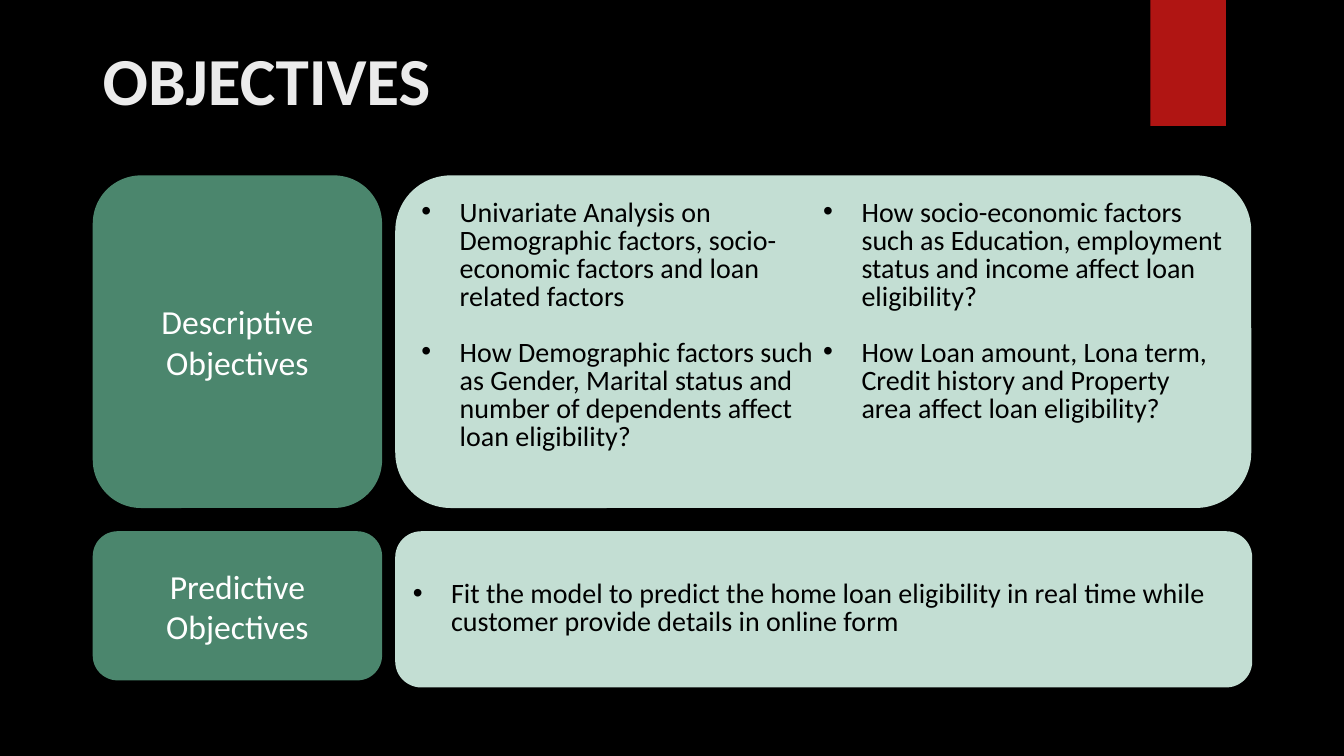
import dataclasses

import pptx
import pptx.dml.color
import pptx.enum.shapes
import pptx.enum.text
import pptx.util
from lxml import etree
from pptx.oxml.ns import qn

Inches = pptx.util.Inches
Pt = pptx.util.Pt
RGBColor = pptx.dml.color.RGBColor
MSO_SHAPE = pptx.enum.shapes.MSO_SHAPE
MSO_ANCHOR = pptx.enum.text.MSO_ANCHOR
PP_ALIGN = pptx.enum.text.PP_ALIGN


@dataclasses.dataclass(frozen=True)
class Theme:
    font: str = "Calibri"
    background: str = "000000"
    accent: str = "B01513"
    title: str = "EBEBEB"
    label_fill: str = "4B866D"
    label_text: str = "FFFFFF"
    panel_fill: str = "C3DED3"
    panel_text: str = "000000"
    title_size: int = 48
    label_size: int = 24
    body_size: int = 20


THEME = Theme()
LABEL_LEFT, LABEL_WIDTH = 0.92, 2.87
PANEL_LEFT = 3.92

DESCRIPTIVE = [
    "Univariate Analysis on Demographic factors, socio-economic factors and loan related factors",
    "How Demographic factors such as Gender, Marital status and number of dependents affect loan eligibility?",
    "How socio-economic factors such as Education, employment status and income affect loan eligibility?",
    "How Loan amount, Lona term, Credit history and Property area affect loan eligibility?",
]
PREDICTIVE = [
    "Fit the model to predict the home loan eligibility in real time while customer provide details in online form",
]


def add_block(s, shape_type, left, top, width, height, color):
    sp = s.shapes.add_shape(
        shape_type, Inches(left), Inches(top), Inches(width), Inches(height))
    sp.shadow.inherit = False
    sp.fill.solid()
    sp.fill.fore_color.rgb = RGBColor.from_string(color)
    sp.line.fill.background()
    return sp


def add_run(p, text, size, color, bold=False):
    r = p.add_run()
    r.text = text
    r.font.name = THEME.font
    r.font.size = Pt(size)
    r.font.bold = bold
    r.font.color.rgb = RGBColor.from_string(color)


def set_bullet(p):
    pPr = p._p.get_or_add_pPr()
    pPr.set("marL", str(Inches(0.38)))
    pPr.set("indent", str(-Inches(0.38)))
    etree.SubElement(pPr, qn("a:buFont")).set("typeface", "Arial")
    etree.SubElement(pPr, qn("a:buChar")).set("char", "•")


def add_title(s, text):
    sp = s.shapes.add_textbox(Inches(0.92), Inches(0.33), Inches(11.5), Inches(1.16))
    tf = sp.text_frame
    tf.word_wrap = True
    add_run(tf.paragraphs[0], text, THEME.title_size, THEME.title, bold=True)


def add_label(s, top, height, text):
    sp = add_block(s, MSO_SHAPE.ROUNDED_RECTANGLE, LABEL_LEFT, top, LABEL_WIDTH,
                   height, THEME.label_fill)
    tf = sp.text_frame
    tf.word_wrap = True
    tf.vertical_anchor = MSO_ANCHOR.MIDDLE
    p = tf.paragraphs[0]
    p.alignment = PP_ALIGN.CENTER
    add_run(p, text, THEME.label_size, THEME.label_text)


def add_panel(s, top, width, height, items, columns=1):
    sp = add_block(s, MSO_SHAPE.ROUNDED_RECTANGLE, PANEL_LEFT, top, width, height,
                   THEME.panel_fill)
    tf = sp.text_frame
    tf.word_wrap = True
    tf.vertical_anchor = MSO_ANCHOR.MIDDLE
    if columns > 1:
        tf.vertical_anchor = MSO_ANCHOR.TOP
        tf.margin_top = Inches(0.08)
        tf._txBody.bodyPr.set("numCol", str(columns))
    for i, item in enumerate(items):
        p = tf.add_paragraph() if i else tf.paragraphs[0]
        p.alignment = PP_ALIGN.LEFT
        p.line_spacing = Pt(THEME.body_size)
        if i < len(items) - 1:
            p.space_after = Pt(THEME.body_size)
        set_bullet(p)
        add_run(p, item, THEME.body_size, THEME.panel_text)


def main():
    prs = pptx.Presentation()
    prs.slide_width = Inches(13.33)
    prs.slide_height = Inches(7.5)
    s = prs.slides.add_slide(prs.slide_layouts[6])
    s.background.fill.solid()
    s.background.fill.fore_color.rgb = RGBColor.from_string(THEME.background)

    add_block(s, MSO_SHAPE.RECTANGLE, 11.41, 0, 0.75, 1.25, THEME.accent)
    add_title(s, "OBJECTIVES")
    add_label(s, 1.74, 3.3, "Descriptive Objectives")
    add_panel(s, 1.74, 8.49, 3.3, DESCRIPTIVE, columns=2)
    add_label(s, 5.27, 1.48, "Predictive Objectives")
    add_panel(s, 5.27, 8.5, 1.55, PREDICTIVE)
    prs.save("out.pptx")


if __name__ == "__main__":
    main()
